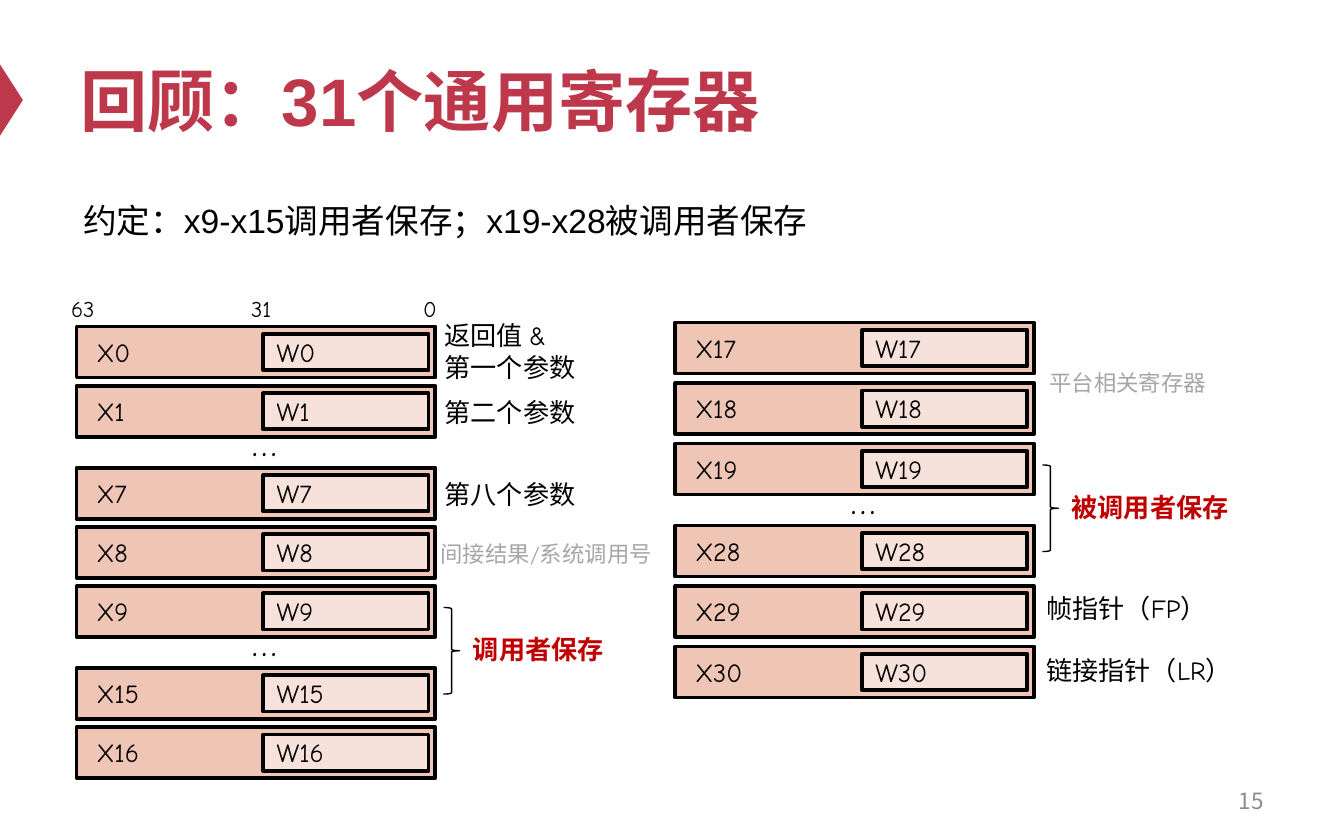
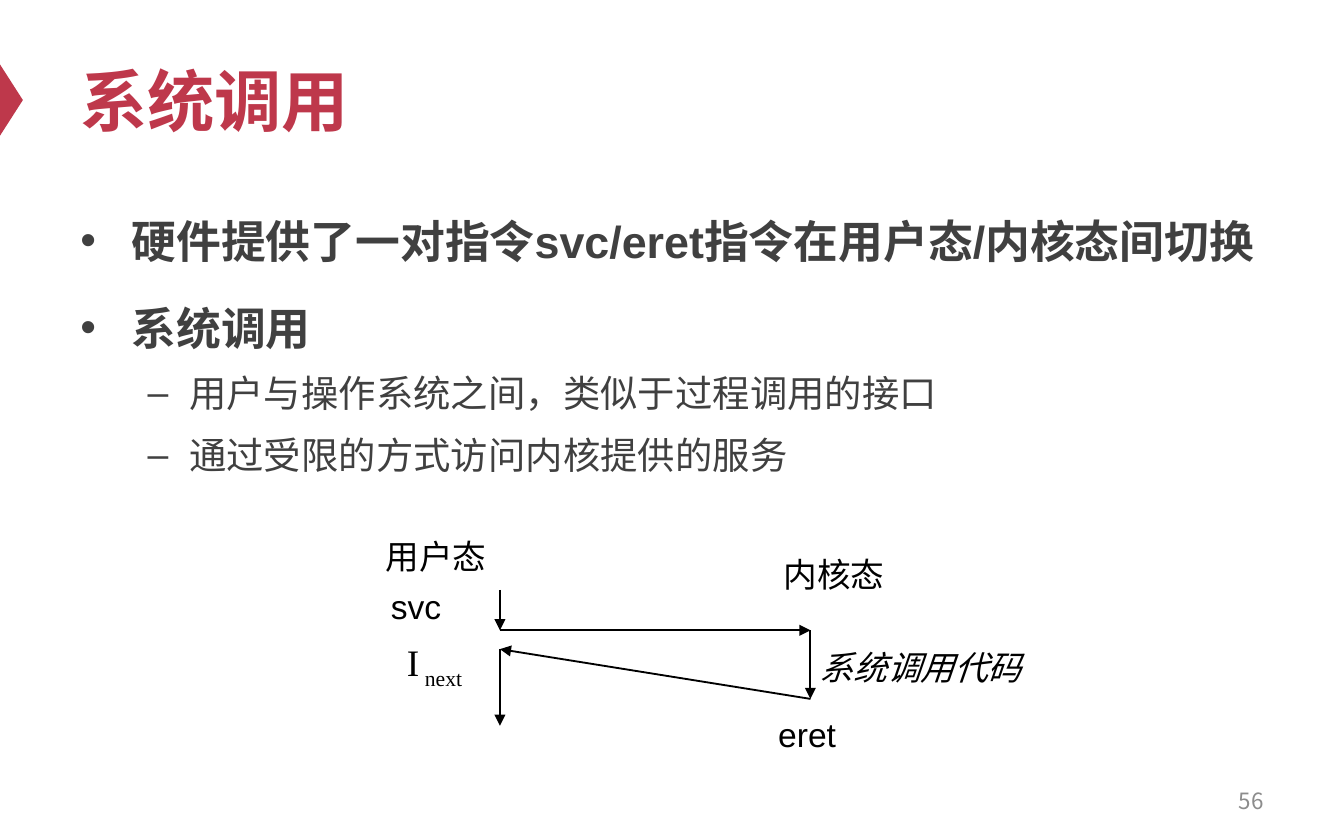
from collections import namedtuple

from lxml.etree import SubElement
from pptx import Presentation
from pptx.dml.color import RGBColor as Rgb
from pptx.enum.shapes import MSO_CONNECTOR as Connector, MSO_SHAPE as Preset
from pptx.enum.text import MSO_ANCHOR as Anchor, MSO_AUTO_SIZE as AutoSize, PP_ALIGN as Align
from pptx.oxml.ns import qn
from pptx.util import Inches, Pt

COLUMNS, ROWS = 100, 62.5
WIDTH, HEIGHT = Inches(10), Inches(6.25)
COLORS = {
    "accent": "BE384B", "body": "404040", "ink": "000000", "number": "8C8C8C",
    "muted": "A6A6A6", "warning": "C00000", "wide": "EFC5B6", "narrow": "F7E2DB",
}
CJK_FONT = "Noto Sans CJK SC"
Box = namedtuple("Box", "left top width height")
SLIDE_BOX = Box(0, 0, COLUMNS, ROWS)


def across(columns):
    return round(WIDTH * columns / COLUMNS)


def down(rows):
    return round(HEIGHT * rows / ROWS)


def place(box):
    return across(box.left), down(box.top), across(box.width), down(box.height)


def inside(box, left, top, width, height):
    return Box(box.left + left, box.top + top, width, height)


def color(name):
    return Rgb.from_string(COLORS[name])


def format_run(run, size, font="Arial", ink="ink", bold=False, italic=False, baseline=0):
    run.font.size = Pt(size)
    run.font.bold = bold
    run.font.italic = italic
    run.font.color.rgb = color(ink)
    run.font.name = font
    properties = run.font._element
    SubElement(properties, qn("a:ea"), typeface=CJK_FONT)
    if baseline:
        properties.set("baseline", str(baseline * 1000))


def add_text(slide, box, text, align=Align.LEFT, anchor=Anchor.TOP, wrap=True,
             grow=True, inset=(1, 0.5), **style):
    shape = slide.shapes.add_textbox(*place(box))
    frame = shape.text_frame
    frame.word_wrap = wrap
    frame.auto_size = AutoSize.SHAPE_TO_FIT_TEXT if grow else AutoSize.NONE
    frame.vertical_anchor = anchor
    frame.margin_left = frame.margin_right = across(inset[0])
    frame.margin_top = frame.margin_bottom = down(inset[1])
    paragraph = frame.paragraphs[0]
    paragraph.alignment = align
    paragraph.text = text
    for run in paragraph.runs:
        format_run(run, **style)
    return paragraph


def add_preset(slide, preset, box, fill=None, line=None):
    shape = slide.shapes.add_shape(preset, *place(box))
    shape.shadow.inherit = False
    if fill:
        shape.fill.solid()
        shape.fill.fore_color.rgb = color(fill)
    else:
        shape.fill.background()
    if line:
        shape.line.color.rgb = color("ink")
        shape.line.width = Pt(line)
    else:
        shape.line.fill.background()
    return shape


def add_arrow(slide, box, start, end):
    points = [(across(box.left + x), down(box.top + y)) for x, y in (start, end)]
    arrow = slide.shapes.add_connector(Connector.STRAIGHT, *points[0], *points[1])
    arrow.line.color.rgb = color("ink")
    arrow.line.width = Pt(1)
    SubElement(arrow.line._get_or_add_ln(), qn("a:tailEnd"), type="triangle")
    SubElement(arrow._element.spPr, qn("a:effectLst"))


def add_base(presentation, title, number):
    slide = presentation.slides.add_slide(presentation.slide_layouts[6])
    marker = add_preset(slide, Preset.ISOSCELES_TRIANGLE,
                        inside(SLIDE_BOX, -1.8, 6.6, 5.3, 1.7), fill="accent")
    marker.rotation = 90
    add_text(slide, inside(SLIDE_BOX, 5, 2.5, 90, 9.8), title, anchor=Anchor.MIDDLE,
             grow=False, size=36, ink="accent", bold=True)
    add_text(slide, inside(SLIDE_BOX, 71.7, 57.9, 23.3, 3.3), number, align=Align.RIGHT,
             anchor=Anchor.MIDDLE, grow=False, size=12, font=CJK_FONT, ink="number")
    return slide


def add_label(slide, box, text, size=14, **style):
    add_text(slide, box, text, size=size, font="Comic Neue", **style)


def add_register(slide, box, number):
    add_preset(slide, Preset.RECTANGLE, box, fill="wide", line=2)
    add_preset(slide, Preset.RECTANGLE, inside(box, 13.9, 0.55, 12.3, 2.7),
               fill="narrow", line=2)
    add_label(slide, inside(box, 13.9, 0.22, 7.7, 3.4), f"W{number}")
    add_label(slide, inside(box, 0.5, 0.22, 11, 3.4), f"X{number}")


def add_register_column(slide, box, pitch, gap, numbers, notes, saved):
    registers = {}
    top = 0
    previous = numbers[0]
    for number in numbers:
        if number - previous > 1:
            add_label(slide, inside(registers[previous], 12.05, 2, 3.8, 4), "…",
                      size=20, wrap=False)
            top += gap
        registers[number] = inside(box, 0, top, box.width, 3.8)
        add_register(slide, registers[number], number)
        top += pitch
        previous = number
    for number, offset, text, style in notes:
        add_label(slide, inside(registers[number], *offset), text, **style)
    first, last, text = saved
    span = registers[last].top - registers[first].top + 0.35
    brace = inside(registers[first], box.width + 0.6, 1.6, 1.2, span)
    add_preset(slide, Preset.RIGHT_BRACE, brace, line=0.75)
    add_label(slide, inside(brace, brace.width, span / 2 - 1.75, 14.2, 3.4), text,
              ink="warning", bold=True)


def build_registers(presentation):
    slide = add_base(presentation, "回顾：31个通用寄存器", "15")
    muted = {"size": 12, "ink": "muted"}
    left = Box(5.7, 24.3, 26.7, 33.6)
    right = Box(50.25, 24, 26.7, 28)
    for offset, bit in ((-1.4, "63"), (12, "31"), (24.8, "0")):
        add_label(slide, inside(left, offset, -2.8, 1.9 + 0.95 * len(bit), 3), bit,
                  size=12, wrap=False)
    add_register_column(
        slide, left, 4.4, 1.7, [0, 1, 7, 8, 9, 15, 16],
        [(0, (26.4, -1, 11.8, 5.7), "返回值 &\v第一个参数", {"wrap": False}),
         (1, (26.4, 0.3, 18.8, 3.4), "第二个参数", {}),
         (7, (26.4, 0.3, 18, 3.4), "第八个参数", {}),
         (8, (26.1, 0.5, 18.8, 3), "间接结果/系统调用号", muted)],
        (9, 15, "调用者保存"))
    add_register_column(
        slide, right, 4.5, 1.6, [17, 18, 19, 28, 29, 30],
        [(18, (26.85, -1.5, 19.7, 3), "平台相关寄存器", muted),
         (29, (26.6, 0, 19.7, 3.4), "帧指针（FP）", {}),
         (30, (26.6, 0.1, 19.7, 3.4), "链接指针（LR）", {})],
        (19, 28, "被调用者保存"))
    add_text(slide, inside(SLIDE_BOX, 5.2, 14.4, 56.4, 4),
             "约定：x9-x15调用者保存；x19-x28被调用者保存", size=18)


def add_bullets(slide, box, items):
    levels = [
        {"mark": "•", "margin": 3.8, "hang": 3.8, "before": 12, "size": 24, "bold": True},
        {"mark": "–", "margin": 8.1, "hang": 3.1, "before": 4, "size": 20, "bold": False},
    ]
    frame = slide.shapes.add_textbox(*place(box)).text_frame
    frame.word_wrap = True
    for index, (level, text) in enumerate(items):
        look = levels[level]
        paragraph = frame.add_paragraph() if index else frame.paragraphs[0]
        properties = paragraph._p.get_or_add_pPr()
        properties.set("marL", str(across(look["margin"])))
        properties.set("indent", str(-across(look["hang"])))
        SubElement(properties, qn("a:buFont"), typeface="Arial")
        SubElement(properties, qn("a:buChar"), char=look["mark"])
        paragraph.level = level
        paragraph.line_spacing = 1.2
        if index:
            paragraph.space_before = Pt(look["before"])
        run = paragraph.add_run()
        run.text = text
        format_run(run, look["size"], ink="body", bold=look["bold"])


def add_call_flow(slide, box):
    tight = {"inset": (0.7, 0.4), "size": 18}
    for offset, text, style in (
        ((0, 0, 9.1, 3.8), "用户态", {"wrap": False, **tight}),
        ((29.6, 1.3, 9.1, 3.8), "内核态", {"wrap": False, **tight}),
        ((32.3, 8.2, 24.1, 3.8), "系统调用代码", {"italic": True, **tight}),
        ((29.2, 13.2, 5.8, 3.8), "eret", {"wrap": False, **tight}),
        ((0.1, 3.6, 5.8, 4), "svc", {"wrap": False, "size": 18}),
    ):
        add_text(slide, inside(box, *offset), text, **style)
    serif = {"size": 20, "font": "Times New Roman"}
    instruction = add_text(slide, inside(box, 1.3, 7.6, 7, 4.4), "I", wrap=False, **serif)
    subscript = instruction.add_run()
    subscript.text = " next"
    format_run(subscript, baseline=-25, **serif)
    user, kernel = 9.2, 32.3
    call, back, finish = 7.4, 8.8, 12.5
    for start, end in (
        ((user, 4.4), (user, call)),
        ((user, call), (kernel, call)),
        ((kernel, call), (kernel, finish)),
        ((kernel, finish), (user, back)),
        ((user, back), (user, 14.5)),
    ):
        add_arrow(slide, box, start, end)


def build_system_call(presentation):
    slide = add_base(presentation, "系统调用", "56")
    add_bullets(slide, inside(SLIDE_BOX, 5, 14.6, 90, 41.2), [
        (0, "硬件提供了一对指令svc/eret指令在用户态/内核态间切换"),
        (0, "系统调用"),
        (1, "用户与操作系统之间，类似于过程调用的接口"),
        (1, "通过受限的方式访问内核提供的服务"),
    ])
    add_call_flow(slide, inside(SLIDE_BOX, 28, 39.5, 56.4, 17))


def main():
    presentation = Presentation()
    presentation.slide_width, presentation.slide_height = WIDTH, HEIGHT
    build_registers(presentation)
    build_system_call(presentation)
    presentation.save("out.pptx")


if __name__ == "__main__":
    main()
